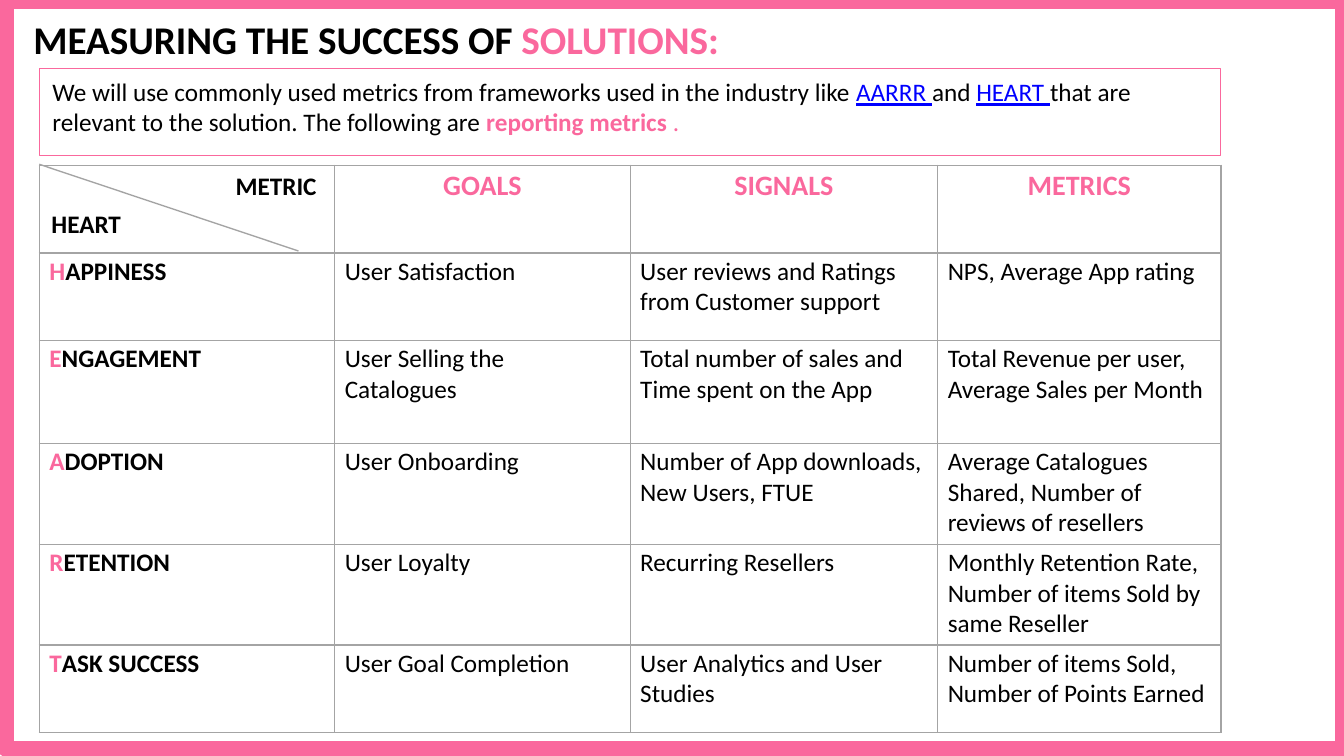
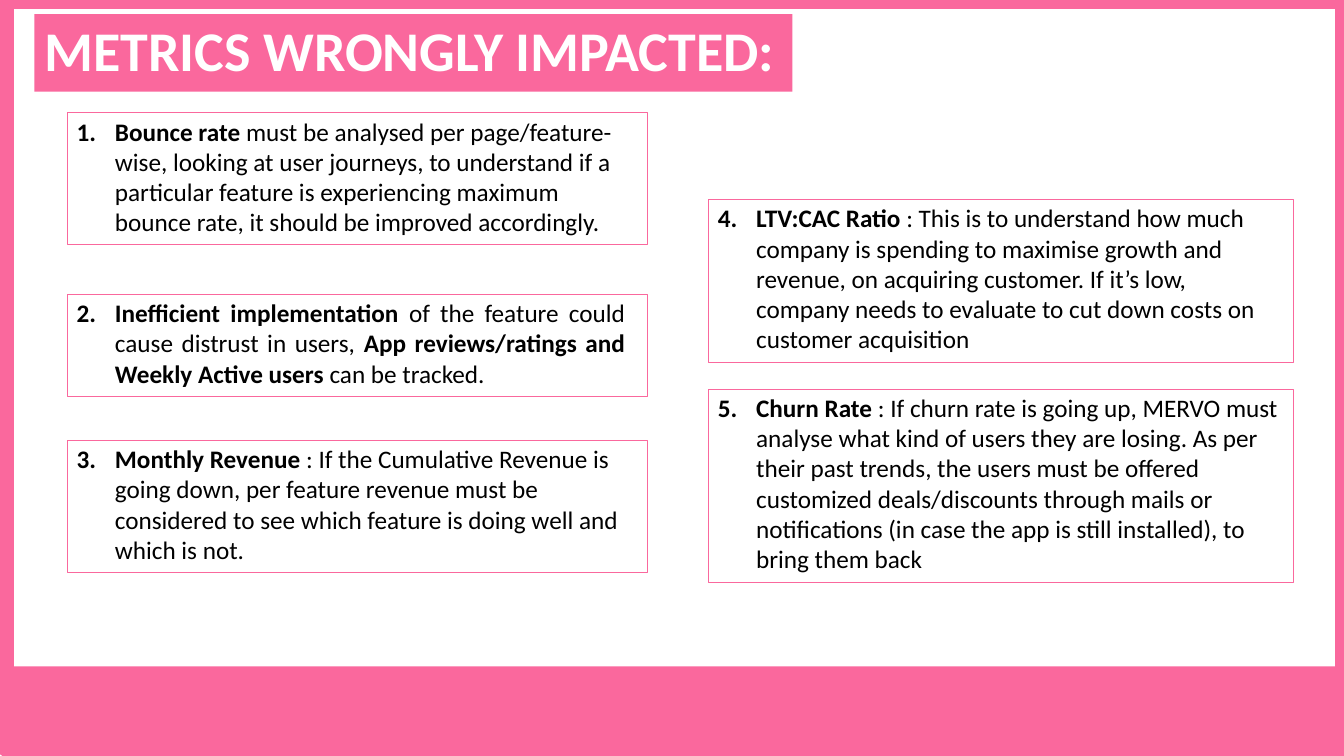
from dataclasses import dataclass

from lxml.etree import SubElement
from pptx import Presentation
from pptx.dml.color import RGBColor
from pptx.enum.shapes import MSO_CONNECTOR, MSO_SHAPE
from pptx.enum.text import MSO_ANCHOR, MSO_AUTO_SIZE, PP_ALIGN
from pptx.oxml.ns import qn
from pptx.util import Pt

PX = 9144  # EMU, 100 px to the inch
SLIDE_SIZE = (1333, 750)


@dataclass(frozen=True)
class Theme:
    font: str = "Calibri"
    pink: RGBColor = RGBColor(0xFA, 0x68, 0x9D)
    ink: RGBColor = RGBColor(0, 0, 0)
    white: RGBColor = RGBColor(0xFF, 0xFF, 0xFF)
    link: RGBColor = RGBColor(0, 0, 0xFF)
    grid: RGBColor = RGBColor(0xA4, 0xA4, 0xA4)
    banner_size: int = 40
    title_size: int = 28
    heading_size: int = 20
    body_size: int = 18
    frame_width: float = 11.04
    grid_width: int = 1
    rule_width: float = 2.25


THEME = Theme()
SPAN_STYLES = {
    "bold": {"bold": True},
    "pink": {"color": THEME.pink},
    "pink bold": {"color": THEME.pink, "bold": True},
    "link": {"color": THEME.link, "underline": True},
}

FRAME = (6, 1, 1326, 742)
FOOTER_BAND = (6, 661, 1326, 82)

# A line is a list of spans; a span is plain text or (text, style).
SUCCESS_TITLE = ["MEASURING THE SUCCESS OF ", ("SOLUTIONS:", "pink")]
INTRO = [
    "We will use commonly used metrics from frameworks used in the industry like ",
    ("AARRR ", "link"), "and ", ("HEART ", "link"),
    "that are relevant to the solution. The following are ",
    ("reporting metrics ", "pink bold"), (".", "pink"),
]
CORNER_LABELS = ("METRIC", "HEART")
HEADINGS = ["GOALS", "SIGNALS", "METRICS"]
HEART_ROWS = [
    ("HAPPINESS", "User Satisfaction",
     "User reviews and Ratings\nfrom Customer support",
     "NPS, Average App rating"),
    ("ENGAGEMENT", "User Selling the\nCatalogues",
     "Total number of sales and\nTime spent on the App",
     "Total Revenue per user,\nAverage Sales per Month"),
    ("ADOPTION", "User Onboarding",
     "Number of App downloads,\nNew Users, FTUE",
     "Average Catalogues\nShared, Number of\nreviews of resellers"),
    ("RETENTION", "User Loyalty", "Recurring Resellers",
     "Monthly Retention Rate,\nNumber of items Sold by\nsame Reseller"),
    ("TASK SUCCESS", "User Goal Completion",
     "User Analytics and User\nStudies",
     "Number of items Sold,\nNumber of Points Earned"),
]
TABLE_LEFT, TABLE_TOP = 39, 164
COLUMN_WIDTHS = [293, 293, 305, 281]
ROW_HEIGHTS = [87, 87, 102, 100, 100, 87]
DIAGONAL = (39, 163, 296, 249)

IMPACT_TITLE = ["METRICS WRONGLY IMPACTED:"]
LEFT_COLUMN, RIGHT_COLUMN = (67, 575), (703, 580)
# column, top, height, right inset, alignment, spans
IMPACTS = [
    (LEFT_COLUMN, 112, 131, 22, PP_ALIGN.LEFT, [
        ("Bounce rate ", "bold"),
        "must be analysed per page/feature-wise, looking at user journeys, to "
        "understand if a particular feature is experiencing maximum bounce "
        "rate, it should be improved accordingly."]),
    (LEFT_COLUMN, 292, 101, 22, PP_ALIGN.JUSTIFY, [
        ("Inefficient implementation ", "bold"),
        "of the feature could cause distrust in users, ",
        ("App reviews/ratings and Weekly Active users ", "bold"),
        "can be tracked."]),
    (LEFT_COLUMN, 437, 131, 22, PP_ALIGN.LEFT, [
        ("Monthly Revenue ", "bold"),
        ": If the Cumulative Revenue is going down, per feature revenue must be "
        "considered to see which feature is doing well and which is not."]),
    (RIGHT_COLUMN, 198, 162, 25, PP_ALIGN.LEFT, [
        ("LTV:CAC Ratio ", "bold"),
        ": This is to understand how much company is spending to maximise "
        "growth and revenue, on acquiring customer. If it’s low, company needs "
        "to evaluate to cut down costs on customer acquisition"]),
    (RIGHT_COLUMN, 386, 192, 5, PP_ALIGN.LEFT, [
        ("Churn Rate ", "bold"),
        ": If churn rate is going up, MERVO must analyse what kind of users "
        "they are losing. As per their past trends, the users must be offered "
        "customized deals/discounts through mails or notifications (in case "
        "the app is still installed), to bring them back"]),
]


def px(*lengths):
    return [round(length * PX) for length in lengths]


def write(frame, lines, size=THEME.body_size, color=THEME.ink, bold=None,
          align=PP_ALIGN.LEFT):
    """Fill a text frame with one paragraph per line of spans."""
    for index, spans in enumerate(lines):
        para = frame.add_paragraph() if index else frame.paragraphs[0]
        para.alignment = align
        font = para.font
        font.name, font.size, font.bold = THEME.font, Pt(size), bold
        for span in spans:
            text, style = (span, None) if isinstance(span, str) else span
            look = SPAN_STYLES.get(style, {})
            run = para.add_run()
            run.text = text
            run.font.color.rgb = look.get("color", color)
            if "bold" in look:
                run.font.bold = look["bold"]
            if "underline" in look:
                run.font.underline = look["underline"]


def set_up_frame(frame, insets):
    frame.word_wrap = True
    frame.auto_size = MSO_AUTO_SIZE.NONE
    frame.vertical_anchor = MSO_ANCHOR.TOP
    (frame.margin_left, frame.margin_top,
     frame.margin_right, frame.margin_bottom) = px(*insets)


def add_box(slide, place, fill=None, line=None, width=0.72):
    box = slide.shapes.add_shape(MSO_SHAPE.RECTANGLE, *px(*place))
    box.shadow.inherit = False
    if fill is None:
        box.fill.background()
    else:
        box.fill.solid()
        box.fill.fore_color.rgb = fill
    if line is None:
        box.line.fill.background()
    else:
        box.line.color.rgb = line
        box.line.width = Pt(width)
    return box


def add_page_frame(slide):
    add_box(slide, FRAME, line=THEME.pink, width=THEME.frame_width)


def add_titled_slide(deck, spans, place, size, color, left_inset=1):
    slide = deck.slides.add_slide(deck.slide_layouts[5])
    title = slide.shapes.title
    title.left, title.top, title.width, title.height = px(*place)
    set_up_frame(title.text_frame, (left_inset, 1, 0, 0))
    write(title.text_frame, [spans], size, color, bold=True)
    return slide


def number_paragraph(para, number, indent=47, hang=38):
    properties = para._p.get_or_add_pPr()
    properties.set("marL", str(indent * PX))
    properties.set("indent", str(-hang * PX))
    SubElement(properties, qn("a:buFont"), typeface="+mj-lt")
    SubElement(properties, qn("a:buAutoNum"), type="arabicPeriod",
               startAt=str(number))


def set_borders(cell, top, bottom):
    properties = cell._tc.get_or_add_tcPr()
    widths = {"L": THEME.grid_width, "R": THEME.grid_width, "T": top, "B": bottom}
    for side, width in widths.items():
        border = SubElement(properties, qn(f"a:ln{side}"), w=str(Pt(width)))
        fill = SubElement(border, qn("a:solidFill"))
        SubElement(fill, qn("a:srgbClr"), val=str(THEME.grid))


def write_corner(cell):
    cell.margin_left, cell.margin_top, cell.margin_right = px(12, 6, 18)
    write(cell.text_frame, [[label] for label in CORNER_LABELS], bold=True)
    metric, heart = cell.text_frame.paragraphs
    metric.alignment = PP_ALIGN.RIGHT
    heart.space_before = Pt(5.5)


def write_cell(cell, row, column):
    if row == 0 and column == 0:
        write_corner(cell)
    elif row == 0:
        write(cell.text_frame, [[HEADINGS[column - 1]]], THEME.heading_size,
              THEME.pink, bold=True, align=PP_ALIGN.CENTER)
    else:
        text = HEART_ROWS[row - 1][column]
        if column == 0:
            write(cell.text_frame, [[(text[0], "pink"), text[1:]]], bold=True)
        else:
            write(cell.text_frame, [[line] for line in text.split("\n")])


def add_heart_table(slide):
    place = px(TABLE_LEFT, TABLE_TOP, sum(COLUMN_WIDTHS), sum(ROW_HEIGHTS))
    table = slide.shapes.add_table(
        len(ROW_HEIGHTS), len(COLUMN_WIDTHS), *place).table
    table.first_row = table.horz_banding = False
    for column, width in zip(table.columns, px(*COLUMN_WIDTHS)):
        column.width = width
    for row, height in zip(table.rows, px(*ROW_HEIGHTS)):
        row.height = height
    for row in range(len(ROW_HEIGHTS)):
        top = THEME.rule_width if row == 1 else THEME.grid_width
        bottom = THEME.rule_width if row == 0 else THEME.grid_width
        for column in range(len(COLUMN_WIDTHS)):
            cell = table.cell(row, column)
            left = 10 if row else 0
            (cell.margin_left, cell.margin_top,
             cell.margin_right, cell.margin_bottom) = px(left, 3, 0, 0)
            set_borders(cell, top, bottom)
            cell.fill.background()
            write_cell(cell, row, column)


def add_diagonal(slide):
    line = slide.shapes.add_connector(MSO_CONNECTOR.STRAIGHT, *px(*DIAGONAL))
    line.line.color.rgb = THEME.grid
    line.line.width = Pt(0.96)
    SubElement(line._element.spPr, qn("a:effectLst"))


def build_success_slide(deck):
    slide = add_titled_slide(deck, SUCCESS_TITLE, (32, 14, 720, 49),
                             THEME.title_size, THEME.ink)
    intro = add_box(slide, (39, 68, 1171, 86), line=THEME.pink, width=0.48)
    set_up_frame(intro.text_frame, (13, 8, 60, 0))
    write(intro.text_frame, [INTRO])
    add_heart_table(slide)
    add_diagonal(slide)
    add_page_frame(slide)


def build_impact_slide(deck):
    slide = add_titled_slide(deck, IMPACT_TITLE, (34, 14, 752, 77),
                             THEME.banner_size, THEME.white, left_inset=10)
    banner = slide.shapes.title
    banner.fill.solid()
    banner.fill.fore_color.rgb = THEME.pink
    for number, impact in enumerate(IMPACTS, start=1):
        (left, width), top, height, right_inset, align, spans = impact
        box = add_box(slide, (left, top, width, height), line=THEME.pink)
        set_up_frame(box.text_frame, (0, 3, right_inset, 0))
        number_paragraph(box.text_frame.paragraphs[0], number)
        write(box.text_frame, [spans], align=align)
    add_page_frame(slide)
    add_box(slide, FOOTER_BAND, fill=THEME.pink)


def main():
    deck = Presentation()
    deck.slide_width, deck.slide_height = px(*SLIDE_SIZE)
    build_success_slide(deck)
    build_impact_slide(deck)
    deck.save("out.pptx")


if __name__ == "__main__":
    main()
